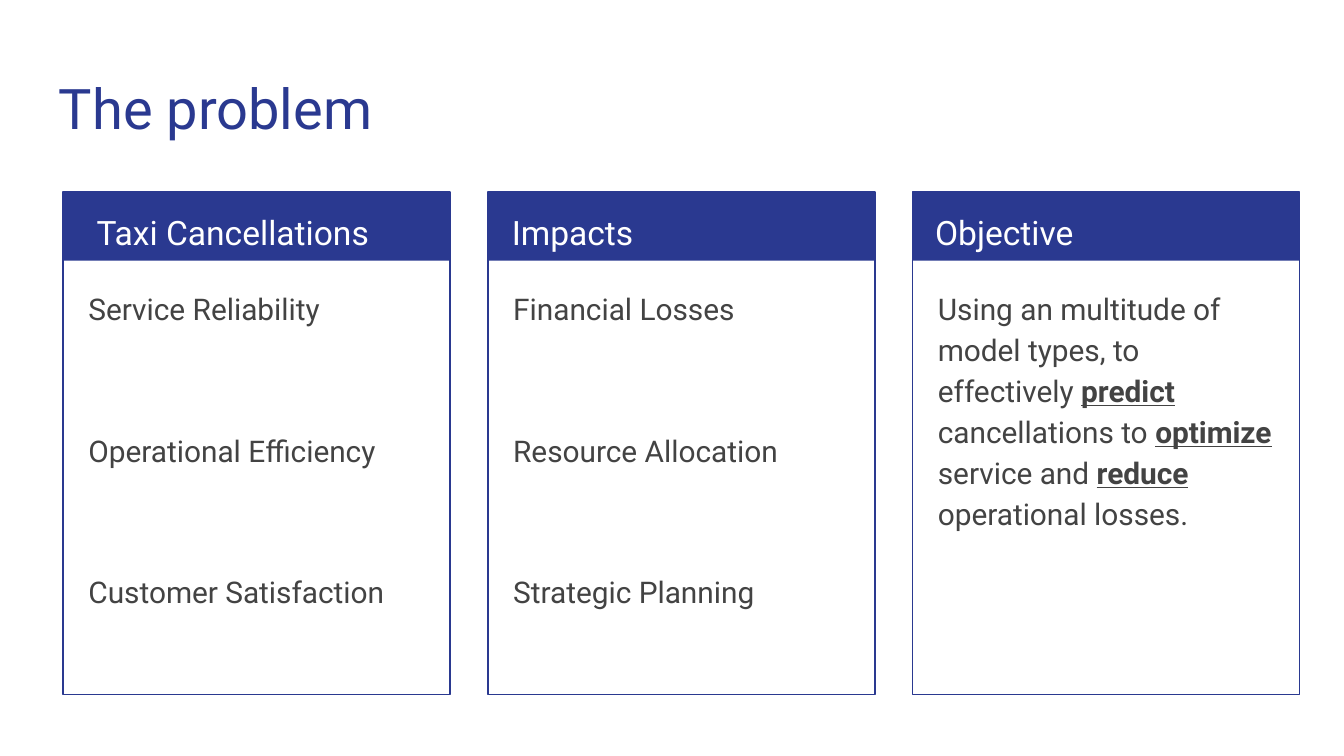
import pptx
import pptx.dml.color
import pptx.enum.shapes
import pptx.enum.text
import pptx.util
from pptx.util import Inches

NAVY, GRAY, WHITE = "2A3990", "434343", "FFFFFF"

# Content: each paragraph is a list of (text, emphasized) spans
TITLE = "The problem"
CARDS = [
    {"heading": "Taxi Cancellations", "heading_inset": 0.15,
     "body": [[("Service Reliability", False)],
              [("Operational Efficiency", False)],
              [("Customer Satisfaction", False)]]},
    {"heading": "Impacts", "heading_inset": 0.08,
     "body": [[("Financial Losses", False)],
              [("Resource Allocation", False)],
              [("Strategic Planning", False)]]},
    {"heading": "Objective", "heading_inset": 0.07,
     "body": [[("Using an multitude of model types, to effectively ", False),
               ("predict ", True), ("cancellations to ", False),
               ("optimize ", True), ("service and ", False),
               ("reduce ", True), ("operational losses.", False)]]},
]

# Layout in inches
CARD_LEFT, CARD_TOP, CARD_PITCH = 0.47, 1.43, 3.16
CARD_WIDTH, CARD_HEIGHT, BAND_HEIGHT = 2.88, 3.74, 0.51
BODY_INSET, BODY_TOP = 0.09, 2.02
ITEM_GAP = 54  # points between body paragraphs


def color(value):
    return pptx.dml.color.RGBColor.from_string(value)


def add_text(page, area, paragraphs, size, ink, spacing=1.15):
    box = page.shapes.add_textbox(*map(Inches, area))
    frame = box.text_frame
    settings = {"word_wrap": True,
                "vertical_anchor": pptx.enum.text.MSO_ANCHOR.TOP}
    for side in ("left", "right", "top", "bottom"):
        settings["margin_" + side] = Inches(0.1)
    for name, value in settings.items():
        setattr(frame, name, value)
    for index, spans in enumerate(paragraphs):
        para = frame.add_paragraph() if index else frame.paragraphs[0]
        para.line_spacing = spacing
        if index:
            para.space_before = pptx.util.Pt(ITEM_GAP)
        for text, emphasized in spans:
            span = para.add_run()
            span.text = text
            formats = {"name": "Roboto", "size": pptx.util.Pt(size),
                       "bold": emphasized, "underline": emphasized}
            for name, value in formats.items():
                setattr(span.font, name, value)
            span.font.color.rgb = color(ink)


def add_rectangle(page, area, fill=None, line=None):
    shape = page.shapes.add_shape(
        pptx.enum.shapes.MSO_SHAPE.RECTANGLE, *map(Inches, area))
    shape.shadow.inherit = False
    if fill:
        shape.fill.solid()
        shape.fill.fore_color.rgb = color(fill)
    else:
        shape.fill.background()
    if line:
        shape.line.color.rgb = color(line)
        shape.line.width = pptx.util.Pt(0.75)
    else:
        shape.line.fill.background()


def add_card(page, left, card):
    # Header band and outline
    add_rectangle(page, (left, CARD_TOP, CARD_WIDTH, BAND_HEIGHT), fill=NAVY)
    add_rectangle(page, (left, CARD_TOP, CARD_WIDTH, CARD_HEIGHT), line=NAVY)
    # Heading and body
    add_text(page, (left + card["heading_inset"], CARD_TOP, 2.73, 0.5),
             [[(card["heading"], False)]], 18, WHITE)
    add_text(page, (left + BODY_INSET, BODY_TOP, 2.71, 3.06),
             card["body"], 16, GRAY)


def main():
    deck = pptx.Presentation()
    deck.slide_width, deck.slide_height = Inches(10), Inches(10 * 9 / 16)
    page = deck.slides.add_slide(deck.slide_layouts[6])
    add_text(page, (0.34, 0.45, 9.32, 0.66), [[(TITLE, False)]], 30, NAVY, 1.0)
    for index, card in enumerate(CARDS):
        add_card(page, CARD_LEFT + index * CARD_PITCH, card)
    deck.save("out.pptx")


if __name__ == "__main__":
    main()
